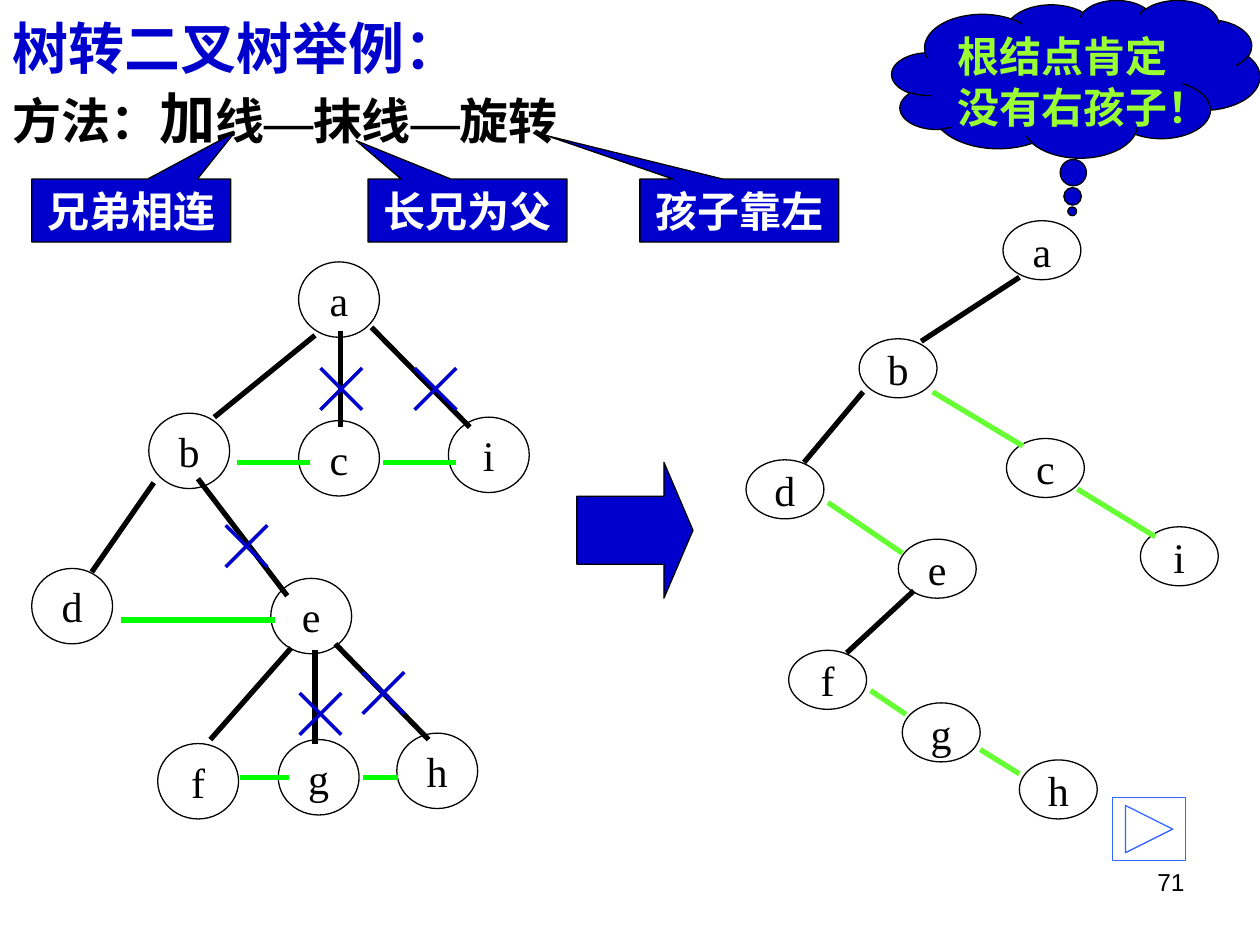
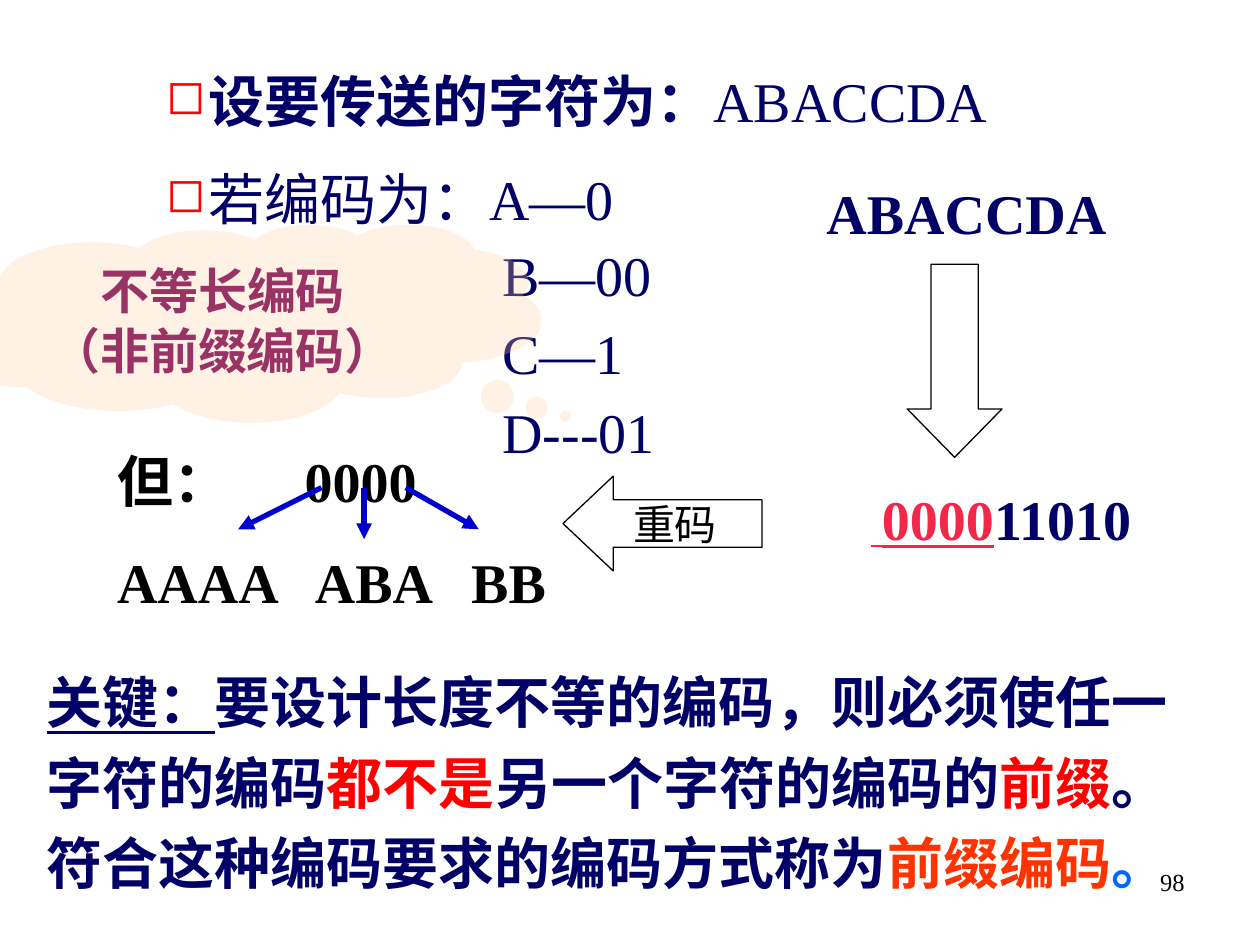
from lxml.etree import SubElement
from pptx import Presentation
from pptx.dml.color import RGBColor
from pptx.enum.shapes import MSO_CONNECTOR as Connector, MSO_SHAPE as Shape
from pptx.enum.text import MSO_ANCHOR as Anchor, PP_ALIGN as Align
from pptx.oxml.ns import qn
from pptx.util import Cm, Pt

COLORS = {
    "black": "000000", "white": "FFFFFF", "blue": "0000CC", "navy": "000066",
    "green": "00FF00", "leaf": "66FF33", "lime": "99FF33", "button": "3366FF",
    "red": "FF0000", "crimson": "F32749", "orange": "FF3300", "sky": "0066FF",
    "peach": "FFCC99", "plum": "993366",
}
CJK, SERIF, SANS = "Noto Sans CJK SC", "Times New Roman", "Arial"

TREE_NODES = {
    "a": (6.02, 5.28), "b": (3, 8.33), "c": (6.02, 8.48), "i": (9.04, 8.41),
    "d": (0.64, 11.46), "e": (5.46, 11.66), "f": (3.18, 14.99),
    "g": (5.61, 14.91), "h": (8, 14.78),
}
TREE_EDGES = [
    (6.35, 6.76, 4.32, 8.41), (3.1, 9.73, 1.85, 11.53), (7.49, 6.6, 9.47, 8.61),
    (3.99, 9.65, 5.79, 12.01), (5.87, 13.06, 4.24, 14.91), (6.76, 12.98, 8.64, 14.91),
    (6.35, 13.11, 6.35, 14.99), (6.86, 6.68, 6.86, 8.61),
]
SIBLING_LINKS = [
    (4.78, 9.32, 6.25, 9.32), (7.72, 9.32, 9.19, 9.32), (2.44, 12.5, 5.54, 12.5),
    (4.83, 15.67, 5.82, 15.67), (7.32, 15.67, 8.03, 15.67),
]
CROSS_CENTRES = [(6.46, 14.39), (7.73, 13.97), (4.97, 11.01), (6.88, 7.84), (8.78, 7.84)]
BINARY_NODES = {
    "a": (20.22, 4.45), "b": (17.32, 6.83), "c": (20.29, 8.84), "i": (22.99, 10.62),
    "d": (15.04, 9.27), "e": (18.11, 10.87), "f": (15.9, 13.11),
    "g": (18.19, 14.17), "h": (20.55, 15.32),
}
LEFT_EDGES = [
    (20.55, 5.59, 18.57, 6.88), (17.4, 7.9, 16.21, 9.32), (18.42, 11.91, 17.07, 13.16),
]
RIGHT_EDGES = [
    (18.8, 7.9, 20.62, 8.99), (21.72, 9.86, 23.29, 10.82), (16.69, 10.13, 18.19, 11.15),
    (17.55, 13.92, 18.26, 14.4), (19.76, 15.11, 20.55, 15.6),
]
METHOD_STEPS = [
    (0.64, "兄弟相连", (0.52, -1.24)),
    (7.42, "长兄为父", (-0.56, -1.11)),
    (12.9, "孩子靠左", (-0.97, -1.19)),
]
CODE_ARROWS = [
    (6.48, 9.83, 4.8, 10.67), (7.34, 9.83, 7.34, 10.87), (8.18, 9.83, 9.65, 10.67),
]


def rgb(name):
    """Return the named colour."""
    return RGBColor.from_string(COLORS[name])


def add_span(para, text, size=32, color="black", bold=False, underline=False,
             font=SERIF, east=CJK):
    """Add one styled run."""
    span = para.add_run()
    span.text = text
    style = span.font
    style.size, style.bold, style.name = Pt(size), bold, font
    style.underline = underline or None
    style.color.rgb = rgb(color)
    SubElement(style._element, qn("a:ea")).set("typeface", east)


def add_para(frame, spans, first=True, align=Align.LEFT, line=None, before=0,
             indent=0, bullet=False, tabs=(), **style):
    """Write a paragraph of (text, overrides) spans."""
    para = frame.paragraphs[0] if first else frame.add_paragraph()
    props = para._p.get_or_add_pPr()
    if indent:
        props.set("marL", str(Cm(indent)))
        props.set("indent", str(-Cm(indent) if bullet else 0))
    if bullet:
        tint = SubElement(props, qn("a:buClr"))
        SubElement(tint, qn("a:srgbClr")).set("val", COLORS["red"])
        SubElement(props, qn("a:buSzPct")).set("val", "85000")
        SubElement(props, qn("a:buChar")).set("char", "◻")
    if tabs:
        stops = SubElement(props, qn("a:tabLst"))
        for stop in tabs:
            SubElement(stops, qn("a:tab"), pos=str(Cm(stop)), algn="l")
    para.alignment = align
    if line:
        para.line_spacing = Pt(line)
    if before:
        para.space_before = Pt(before)
    for text, changes in spans:
        add_span(para, text, **{**style, **changes})


def add_box(page, left, top, width, height, wrap=True, anchor=Anchor.TOP):
    """Add an empty text box and return its frame."""
    box = page.shapes.add_textbox(Cm(left), Cm(top), Cm(width), Cm(height))
    box.text_frame.word_wrap = wrap
    box.text_frame.vertical_anchor = anchor
    return box.text_frame


def add_figure(page, kind, left, top, width, height, fill=None, line="black",
               adjust=(), wrap=True, anchor=Anchor.TOP):
    """Add a preset shape without shadow."""
    figure = page.shapes.add_shape(kind, Cm(left), Cm(top), Cm(width), Cm(height))
    figure.shadow.inherit = False
    for index, value in enumerate(adjust):
        figure.adjustments[index] = value
    if fill:
        figure.fill.solid()
        figure.fill.fore_color.rgb = rgb(fill)
    else:
        figure.fill.background()
    if line:
        figure.line.color.rgb = rgb(line)
        figure.line.width = Pt(0.75)
    else:
        figure.line.fill.background()
    figure.text_frame.word_wrap = wrap
    figure.text_frame.vertical_anchor = anchor
    return figure


def add_line(page, ends, color="black", width=3, arrow=False):
    """Draw a straight line, with an arrowhead if asked."""
    link = page.shapes.add_connector(Connector.STRAIGHT, *map(Cm, ends))
    link.line.color.rgb = rgb(color)
    link.line.width = Pt(width)
    if arrow:
        SubElement(link.line._get_or_add_ln(), qn("a:tailEnd")).set("type", "triangle")
    SubElement(link._element.spPr, qn("a:effectLst"))


def add_nodes(page, nodes, width, height, fill=None):
    """Draw the lettered nodes of a tree."""
    for letter, (left, top) in nodes.items():
        node = add_figure(page, Shape.OVAL, left, top, width, height, fill,
                          wrap=False, anchor=Anchor.MIDDLE)
        add_para(node.text_frame, [(letter, {})], align=Align.CENTER, size=24)


def add_lines(page, lines, color="black", **style):
    """Draw a group of lines in one colour."""
    for ends in lines:
        add_line(page, ends, color, **style)


def add_cross(page, x, y, reach=0.42):
    """Strike out an edge with two diagonals."""
    for slope in (reach, -reach):
        add_line(page, (x - reach, y - slope, x + reach, y + slope), "blue", 2)


def add_page_number(page, number, font):
    """Write the page number at the lower right."""
    frame = add_box(page, 18.21, 17.35, 5.92, 1.32)
    add_para(frame, [(number, {})], align=Align.RIGHT, size=14, font=font)


def build_tree_page(page):
    """Show how a tree becomes a binary tree."""
    add_page_number(page, "71", SANS)
    dash = ("—", {"font": SERIF, "east": SERIF})
    method = add_box(page, 0, 1.57, 12.12, 1.6, wrap=False)
    add_para(method, [("方法：", {}), ("加", {"size": 32}), ("线", {}), dash,
                      ("抹线", {}), dash, ("旋转", {})],
             line=38, size=28, bold=True, font=CJK)

    add_nodes(page, TREE_NODES, 1.63, 1.52)
    add_lines(page, TREE_EDGES)
    add_lines(page, SIBLING_LINKS, "green")
    add_figure(page, Shape.RIGHT_ARROW, 11.63, 9.32, 2.34, 2.74, "blue", adjust=(0.5, 0.25))
    add_figure(page, Shape.ACTION_BUTTON_FORWARD_OR_NEXT, 22.43, 16.08, 1.47, 1.27,
               line="button")
    title = add_box(page, 0, 0.1, 9.73, 1.7, anchor=Anchor.MIDDLE)
    add_para(title, [("树转二叉树举例：", {})], line=38, color="blue", bold=True, font=CJK)
    for x, y in CROSS_CENTRES:
        add_cross(page, x, y)

    add_nodes(page, BINARY_NODES, 1.57, 1.19, "white")
    add_lines(page, LEFT_EDGES)
    add_lines(page, RIGHT_EDGES, "leaf")

    for left, step, tip in METHOD_STEPS:
        callout = add_figure(page, Shape.RECTANGULAR_CALLOUT, left, 3.61, 4.01, 1.27,
                             "blue", adjust=tip)
        add_para(callout.text_frame, [(step, {})], align=Align.CENTER, line=29,
                 size=24, color="white", bold=True, font=CJK)
    cloud = add_figure(page, Shape.CLOUD_CALLOUT, 17.98, 0, 7.42, 3.18, "blue",
                       adjust=(-0.01, 0.84))
    add_para(cloud.text_frame, [("根结点肯定没有右孩子！", {})], align=Align.CENTER,
             line=29, size=24, color="lime", bold=True)


def build_code_page(page):
    """Show why a code must be prefix-free."""
    add_page_number(page, "98", SERIF)
    codes = add_box(page, 3.1, 0.71, 18.62, 10.24)
    bulleted = {"bullet": True, "indent": 0.86, "line": 53, "color": "navy"}
    add_para(codes, [("设要传送的字符为：", {"bold": True}), ("ABACCDA", {})], **bulleted)
    add_para(codes, [("若编码为：A—0", {})], first=False, before=3, **bulleted)
    for code, before in (("B—00", 6), ("C—1", 8), ("D---01", 8)):
        add_para(codes, [(code, {})], first=False, before=before, line=37,
                 indent=6.78, color="navy")

    key = add_box(page, 0.69, 13.07, 23.8, 5.13)
    bold_navy = {"line": 46, "color": "navy", "bold": True, "font": SANS}
    red = {"color": "red"}
    add_para(key, [("关键：", {"underline": True}),
                   ("要设计长度不等的编码，则必须使任一字符的编码", {}),
                   ("都不是", red), ("另一个字符的编码的", {}), ("前缀", red), ("。", {})],
             **bold_navy)
    add_para(key, [("符合这种编码要求的编码方式称为", {}),
                   ("前缀编码", {"color": "orange"}), ("。", {"color": "sky"})],
             first=False, **bold_navy)

    add_figure(page, Shape.DOWN_ARROW, 18.29, 5.33, 1.91, 3.89, adjust=(0.5, 0.51))
    message = add_box(page, 16.41, 3.48, 6.4, 1.6, wrap=False)
    add_para(message, [("ABACCDA", {})], color="navy", bold=True)
    encoded = add_box(page, 17.3, 9.65, 6, 1.6, wrap=False)
    clash = {"color": "crimson", "underline": True}
    add_para(encoded, [(" ", {**clash, "size": 26, "bold": False}), ("0000", clash),
                       ("11010", {})], color="navy", bold=True)

    readings = add_box(page, 2.11, 8.74, 10.11, 3.91)
    add_para(readings, [("但：\t0000", {})], line=42, tabs=(3.78,), bold=True)
    add_para(readings, [("AAAA\tABA\tBB", {})], first=False, line=37, before=21,
             tabs=(3.99, 7.14), bold=True)
    add_lines(page, CODE_ARROWS, "blue", arrow=True)
    repeat = add_figure(page, Shape.LEFT_ARROW, 11.35, 9.6, 4.01, 1.91,
                        adjust=(0.5, 0.53), wrap=False, anchor=Anchor.MIDDLE)
    add_para(repeat.text_frame, [("重码", {})], align=Align.CENTER, line=29, size=24)

    cloud = add_figure(page, Shape.CLOUD_CALLOUT, -1.09, 4.52, 12.01, 3.99, "peach",
                       line=None, adjust=(0.54, 0.47))
    tint = cloud._element.spPr.find(qn("a:solidFill"))[0]
    SubElement(tint, qn("a:alpha")).set("val", "27000")
    for index, words in enumerate(("不等长编码", "（非前缀编码）")):
        add_para(cloud.text_frame, [(words, {})], first=index == 0, align=Align.CENTER,
                 line=34, size=28, color="plum", bold=True)


def main():
    """Build and save the deck."""
    deck = Presentation()
    deck.slide_width, deck.slide_height = Cm(25.4), Cm(19.05)
    for build in (build_tree_page, build_code_page):
        build(deck.slides.add_slide(deck.slide_layouts[6]))
    deck.save("out.pptx")


if __name__ == "__main__":
    main()
